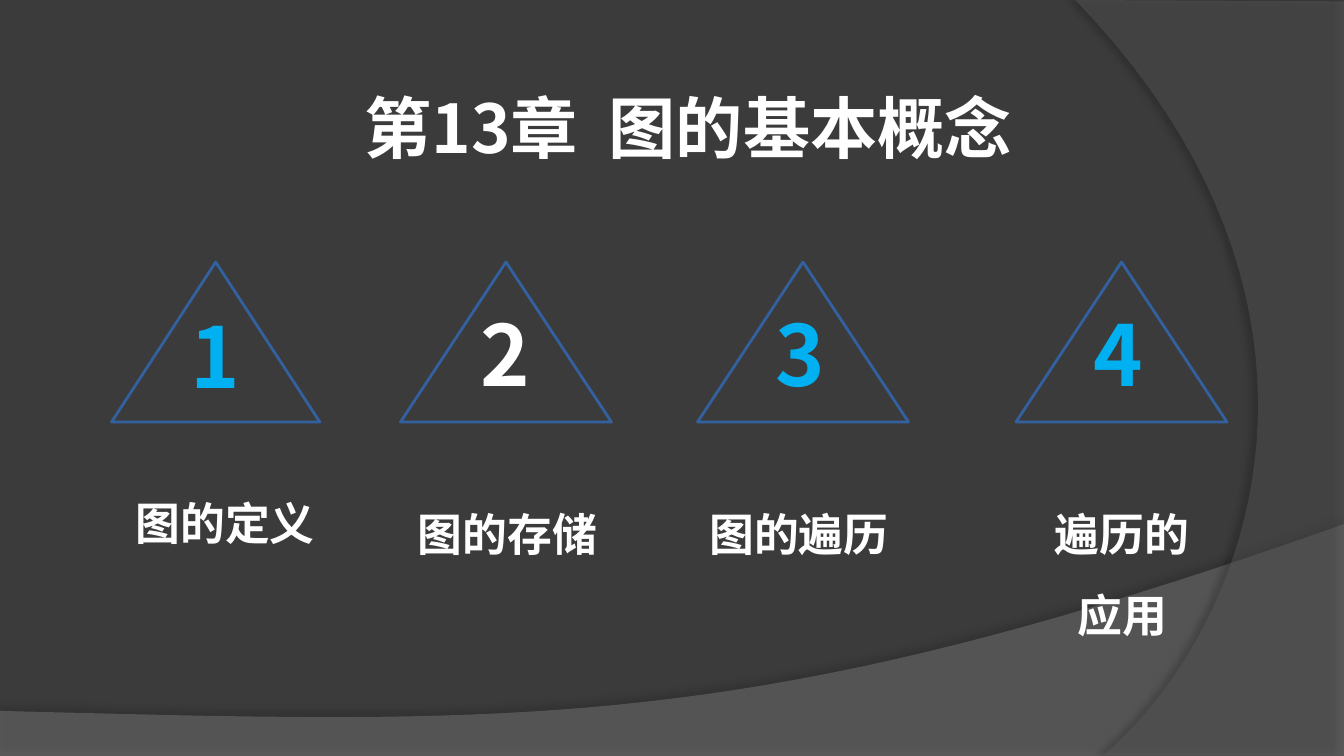
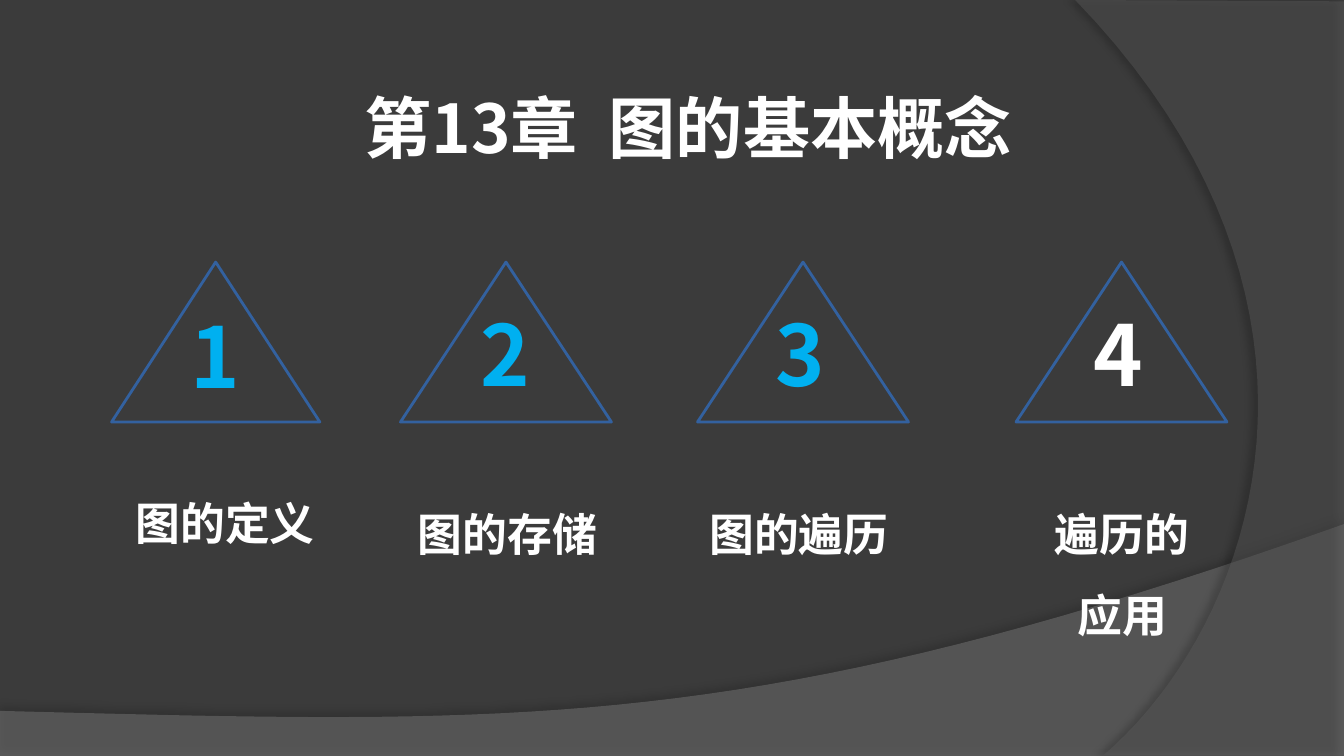
"""Builds two chapter overview slides, each with one topic number highlighted."""
from lxml import etree
from pptx import Presentation
from pptx.dml.color import RGBColor
from pptx.enum import shapes, text
from pptx.oxml import ns
from pptx.util import Inches, Pt

FONT = "Noto Sans CJK SC"
DARK = RGBColor(0x3B, 0x3B, 0x3B)
WAVE = RGBColor(0x7F, 0x7F, 0x7F)
ARC = RGBColor(0x5E, 0x5E, 0x5E)
WHITE = RGBColor(0xFF, 0xFF, 0xFF)
CYAN = RGBColor(0x00, 0xB0, 0xF0)
EDGE = RGBColor(0x33, 0x61, 0x9F)

LEFT, CENTER = text.PP_ALIGN.LEFT, text.PP_ALIGN.CENTER
PAD = (0.1, 0.05, 0.1, 0.05)
SHIFT = (0.38, 0.05, 0.1, 0.05)

TOPICS = [
    dict(name="图的定义", label=(0.91, 3.44, 1.57, 0.71), align=LEFT,
         tri=(0.83, 1.95, 1.55, 1.19), num=(0.87, 2.22, 1.46, 0.86), ring=True),
    dict(name="图的存储", label=(2.95, 3.52, 1.67, 0.64), align=LEFT,
         pad=(0.16, 0.05, 0, 0.05),
         tri=(2.98, 1.95, 1.57, 1.19), num=(3.02, 2.2, 1.48, 0.86)),
    dict(name="图的遍历", label=(5.08, 3.52, 1.73, 0.64), align=CENTER,
         tri=(5.19, 1.95, 1.57, 1.19), num=(5.07, 2.2, 1.48, 0.86), inset=SHIFT),
    dict(name="遍历的应用", label=(7.6, 3.52, 1.5, 1.31), align=CENTER,
         tri=(7.56, 1.95, 1.57, 1.19), num=(7.44, 2.2, 1.48, 0.86), inset=SHIFT),
]


def box(at):
    """Turn a tuple of inches into lengths."""
    return [Inches(v) for v in at]


def node(parent, tag, **attrs):
    """Append a drawing element to a parent."""
    return etree.SubElement(parent, ns.qn("a:" + tag),
                            {k: str(v) for k, v in attrs.items()})


def curve(start, ctrl1, ctrl2, end, steps=40):
    """Return points along a cubic curve, without its start."""
    pts = []
    for i in range(1, steps + 1):
        t = i / steps
        s = 1 - t
        pts.append(tuple(s**3 * a + 3 * s * s * t * b + 3 * s * t * t * c + t**3 * d
                         for a, b, c, d in zip(start, ctrl1, ctrl2, end)))
    return pts


def band(slide, pts, color, alpha, shade, blur, dist, angle):
    """Draw a translucent outline with a soft shadow."""
    pts = [tuple(box(p)) for p in pts]
    path = slide.shapes.build_freeform(*pts[0])
    path.add_line_segments(pts[1:], close=True)
    shape = path.convert_to_shape()
    shape.fill.solid()
    shape.fill.fore_color.rgb = color
    shape.line.fill.background()
    props = shape.element.spPr
    node(props.find(".//" + ns.qn("a:srgbClr")), "alpha", val=alpha * 1000)
    glow = node(node(props, "effectLst"), "outerShdw", blurRad=Pt(blur),
                dist=Pt(dist), dir=angle * 60000, algn="ctr", rotWithShape=0)
    node(node(glow, "srgbClr", val="000000"), "alpha", val=shade * 1000)
    return shape


def bands(slide):
    """Move the two background bands into the shared layout."""
    wave = [(0, 5.29), (0, 5.63), (10, 5.63), (10, 3.9)]
    wave += curve(wave[-1], (5.59, 5.47), (3.91, 5.39), wave[0])
    arc = [(10, 0.01), (10, 5.62), (8.21, 5.62)]
    arc += curve(arc[-1], (9.35, 4.64), (10.18, 2.25), (8, 0))
    made = [band(slide, wave, WAVE, 45, 35, 4, 3.5, 270),
            band(slide, arc, ARC, 40, 45, 4, 4, 180)]
    for i, shape in enumerate(made):
        slide.slide_layout.shapes.element.insert(2 + i, shape.element)


def write(shape, words, size, color, align=CENTER, gap=None, pad=PAD):
    """Write one bold run into a shape."""
    frame = shape.text_frame
    frame.word_wrap = True
    frame.auto_size = text.MSO_AUTO_SIZE.SHAPE_TO_FIT_TEXT
    frame.vertical_anchor = text.MSO_ANCHOR.TOP
    (frame.margin_left, frame.margin_top,
     frame.margin_right, frame.margin_bottom) = box(pad)
    para = frame.paragraphs[0]
    para.alignment = align
    if gap:
        para.line_spacing = gap
    run = para.add_run()
    run.text = words
    font = run.font
    font.size, font.bold, font.name = Pt(size), True, FONT
    font.color.rgb = color
    node(run._r.get_or_add_rPr(), "ea", typeface=FONT)
    return run


def ring(run):
    """Give a run a thin black outline."""
    props = run._r.get_or_add_rPr()
    line = node(props, "ln", w=Pt(0.75))
    node(node(line, "solidFill"), "srgbClr", val="000000")
    props.insert(0, line)


def topic(slide, item, digit, color):
    """Group a label, a triangle and its number."""
    group = slide.shapes.add_group_shape().shapes
    write(group.add_textbox(*box(item["label"])), item["name"], 24, WHITE,
          item["align"], 1.5, item.get("pad", PAD))
    tri = group.add_shape(shapes.MSO_SHAPE.ISOSCELES_TRIANGLE, *box(item["tri"]))
    tri.shadow.inherit = False
    tri.fill.background()
    tri.line.color.rgb = EDGE
    tri.line.width = Pt(1.5)
    run = write(group.add_textbox(*box(item["num"])), str(digit), 45, color,
                pad=item.get("inset", PAD))
    if item.get("ring"):
        ring(run)


def chapter(slide, active):
    """Fill a slide and highlight the active topic."""
    title = slide.shapes.title
    title.left, title.top, title.width, title.height = box((2.09, 0.45, 6.06, 0.83))
    write(title, "第13章  图的基本概念", 36, WHITE, gap=1.25,
          pad=(0.07, 0.04, 0.07, 0.04))
    for digit, item in enumerate(TOPICS, 1):
        topic(slide, item, digit, WHITE if digit == active else CYAN)


def main():
    """Build and save the deck."""
    deck = Presentation()
    deck.slide_width = Inches(10)
    deck.slide_height = deck.slide_width * 9 // 16
    fill = deck.slide_master.background.fill
    fill.solid()
    fill.fore_color.rgb = DARK
    layout = deck.slide_layouts[5]
    slides = [deck.slides.add_slide(layout) for _ in range(2)]
    bands(slides[0])
    for slide, active in zip(slides, (2, 4)):
        chapter(slide, active)
    deck.save("out.pptx")


if __name__ == "__main__":
    main()
